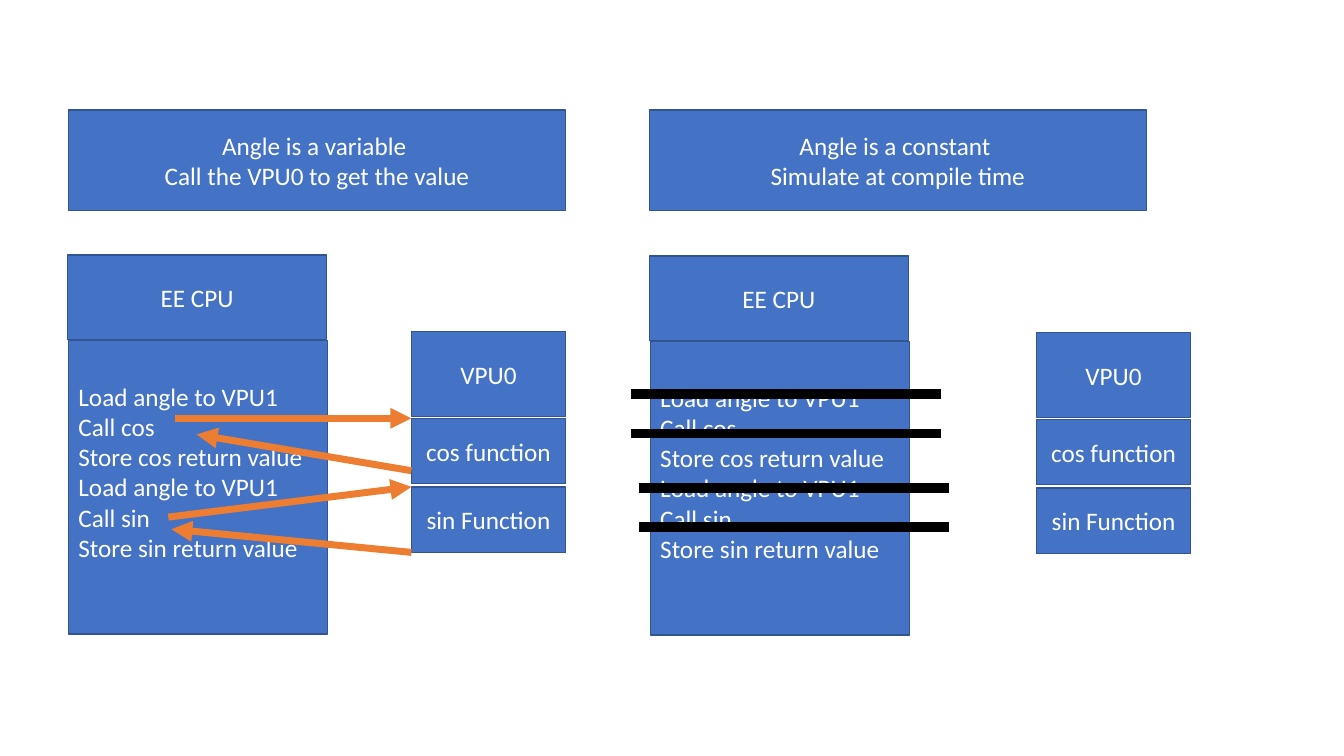
from dataclasses import dataclass

from lxml import etree
from pptx import Presentation
from pptx import util as u
from pptx.dml.color import RGBColor
from pptx.enum import shapes, text
from pptx.oxml.ns import qn
from pptx.slide import Slide

PX = 9144  # EMU per px, 100 px to the inch
BLUE = RGBColor(0x44, 0x72, 0xC4)
DARK_BLUE = RGBColor(0x32, 0x54, 0x91)
ORANGE = RGBColor(0xED, 0x7D, 0x31)
BLACK = RGBColor(0, 0, 0)
WHITE = RGBColor(0xFF, 0xFF, 0xFF)
FONT = {"name": "Calibri", "size": u.Pt(18)}

CODE = [
    line
    for name in ("cos", "sin")
    for line in ("Load angle to VPU1", f"Call {name}", f"Store {name} return value")
]


@dataclass(frozen=True)
class Box:
    x: int
    y: int
    w: int
    h: int
    lines: list[str]
    align: text.PP_ALIGN = text.PP_ALIGN.CENTER
    bottom_inset: int = 5


@dataclass(frozen=True)
class Line:
    x1: int
    y1: int
    x2: int
    y2: int
    color: RGBColor
    width: int
    arrow: bool = False


@dataclass(frozen=True)
class Panel:
    x: int
    y: int
    vpu_x: int
    heading: list[str]
    lines: list[Line]

    def boxes(self) -> list[Box]:
        x, y, vpu_x = self.x, self.y, self.vpu_x
        return [
            Box(x + 1, y + 85, 257, 291, CODE, text.PP_ALIGN.LEFT, 36),
            Box(x, y, 257, 84, ["EE CPU"]),
            Box(vpu_x, y + 76, 153, 84, ["VPU0"]),
            Box(vpu_x, y + 230, 153, 65, ["sin Function"]),
            Box(vpu_x, y + 162, 153, 65, ["cos function"]),
        ]


def arrow(x1: int, y1: int, x2: int, y2: int) -> Line:
    return Line(x1, y1, x2, y2, ORANGE, 5, True)


def strike(x: int, y: int) -> Line:
    return Line(x, y, x + 307, y, BLACK, 7)


PANELS = [
    Panel(
        67, 253, 408,
        ["Angle is a variable ", "Call the VPU0 to get the value"],
        [
            arrow(174, 415, 408, 415),
            arrow(408, 467, 195, 431),
            arrow(167, 513, 408, 483),
            arrow(408, 548, 170, 525),
        ],
    ),
    Panel(
        644, 254, 1028,
        ["Angle is a constant ", "Simulate at compile time"],
        [strike(626, 391), strike(626, 430), strike(634, 484), strike(634, 523)],
    ),
]
HEADING_XS = (68, 644)


def add_box(slide: Slide, box: Box) -> None:
    sp = slide.shapes.add_shape(
        shapes.MSO_SHAPE.RECTANGLE, *(v * PX for v in (box.x, box.y, box.w, box.h))
    )
    sp.shadow.inherit = False
    sp.fill.solid()
    sp.fill.fore_color.rgb = BLUE
    sp.line.color.rgb = DARK_BLUE
    sp.line.width = u.Pt(1)
    tf = sp.text_frame
    tf.word_wrap = True
    tf.vertical_anchor = text.MSO_ANCHOR.MIDDLE
    tf.margin_bottom = box.bottom_inset * PX
    tf.text = "\n".join(box.lines)
    for p in tf.paragraphs:
        p.alignment = box.align
        for r in p.runs:
            for key, value in FONT.items():
                setattr(r.font, key, value)
            r.font.color.rgb = WHITE


def add_line(slide: Slide, line: Line) -> None:
    cxn = slide.shapes.add_connector(
        shapes.MSO_CONNECTOR.STRAIGHT,
        *(v * PX for v in (line.x1, line.y1, line.x2, line.y2)),
    )
    cxn.line.color.rgb = line.color
    cxn.line.width = u.Pt(line.width)
    sp_pr = cxn.line._get_or_add_ln().getparent()
    if line.arrow:
        etree.SubElement(sp_pr.find(qn("a:ln")), qn("a:tailEnd"), type="triangle")
    etree.SubElement(sp_pr, qn("a:effectLst"))


def main() -> None:
    prs = Presentation()
    prs.slide_width, prs.slide_height = 1333 * PX, 750 * PX
    slide = prs.slides.add_slide(prs.slide_layouts[6])
    for panel in PANELS:
        for box in panel.boxes():
            add_box(slide, box)
        for line in panel.lines:
            add_line(slide, line)
    for x, panel in zip(HEADING_XS, PANELS):
        add_box(slide, Box(x, 109, 493, 100, panel.heading))
    prs.save("out.pptx")


if __name__ == "__main__":
    main()
